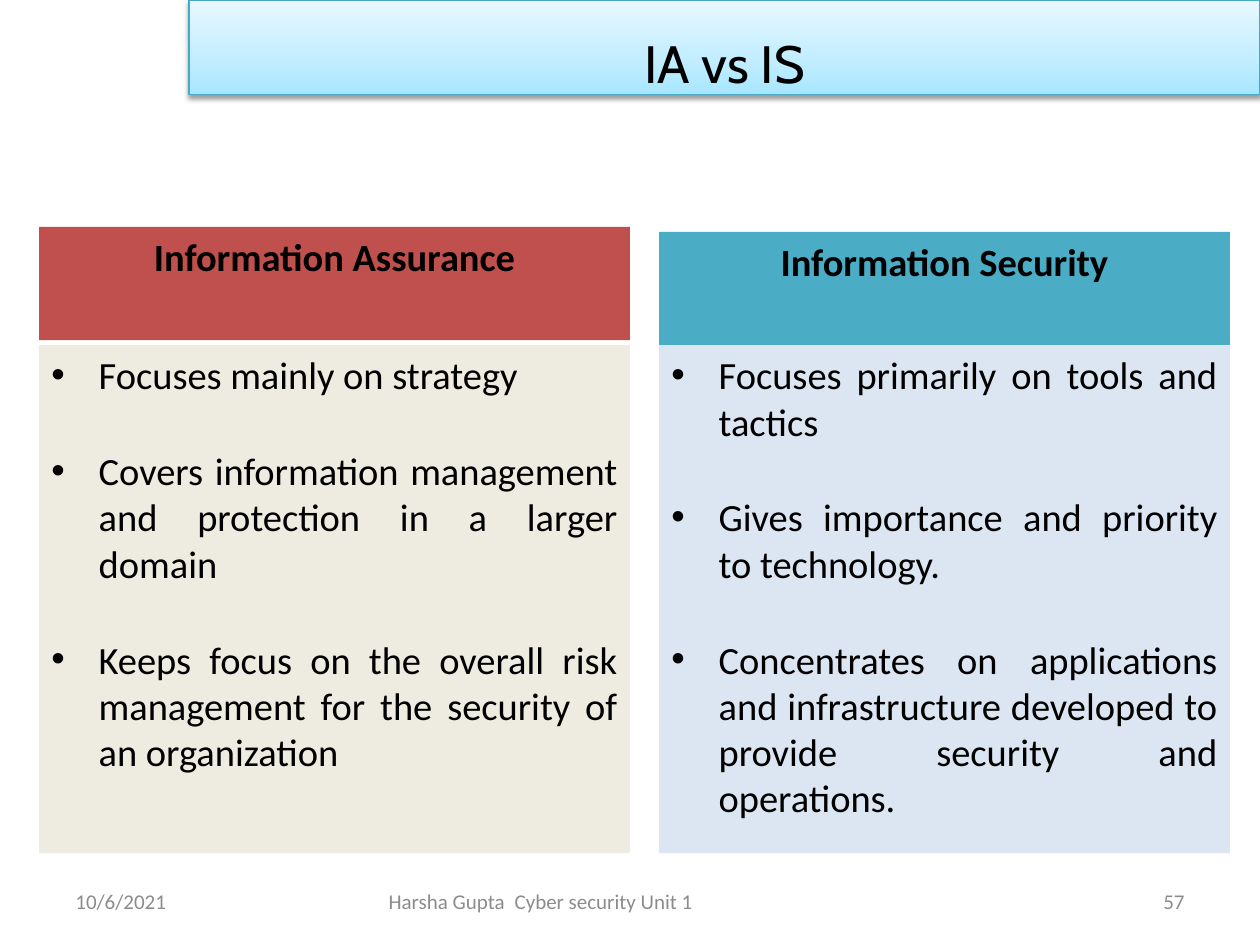
from copy import deepcopy
from lxml import etree
from pptx import Presentation
from pptx.dml.color import RGBColor
from pptx.enum.shapes import MSO_SHAPE
from pptx.enum.text import MSO_ANCHOR, PP_ALIGN
from pptx.oxml.ns import qn
from pptx.util import Pt

RECT = MSO_SHAPE.RECTANGLE
TOP, MID = MSO_ANCHOR.TOP, MSO_ANCHOR.MIDDLE
LEFT, CENTER, RIGHT, FULL = (
    PP_ALIGN.LEFT, PP_ALIGN.CENTER, PP_ALIGN.RIGHT, PP_ALIGN.JUSTIFY)

COLORS = {
    "black": "000000", "gray": "8C8C8C", "edge": "46AAC5",
    "red": "C0504D", "cream": "EEECE1", "teal": "4BACC6", "pale": "DCE6F2",
}
BLEND = [(0, "A7E6FF"), (0.35, "C1EDFF"), (1, "E7F8FF")]

TITLE = "IA vs IS"
PANELS = [
    {"head": "Information Assurance", "left": 22.3, "width": 337.7, "top": 129.6,
     "fills": ("red", "cream"),
     "items": [
         "Focuses mainly on strategy",
         "Covers information management and protection in a larger domain",
         "Keeps focus on the overall risk management for the security of an organization",
     ]},
    {"head": "Information Security", "left": 376.6, "width": 326.2, "top": 132.5,
     "fills": ("teal", "pale"),
     "items": [
         "Focuses primarily on tools and tactics",
         "Gives importance and priority to technology.",
         "Concentrates on applications and infrastructure developed to provide security and operations.",
     ]},
]
FOOTER = [
    ("10/6/2021", 36, 168, LEFT, 0, ()),
    ("Harsha Gupta\tCyber security\tUnit 1", 198, 396, LEFT, 17, (175, 333.5)),
    ("57", 516, 168, RIGHT, 0, ()),
]
HEAD_H, BODY_TOP, BODY_H = 64.8, 197.3, 290.2
FOOT_TOP, FOOT_H = 500.4, 28.8


def rgb(name):
    return RGBColor.from_string(COLORS[name])


def write(shape, *lines, size=22, font="Calibri", color="black", bold=False,
          align=CENTER, anchor=TOP, space=None, before=0, after=0,
          indent=0, bullet=None, tabs=()):
    frame = shape.text_frame
    frame.word_wrap = True
    frame.vertical_anchor = anchor
    for i, line in enumerate(lines):
        para = frame.add_paragraph() if i else frame.paragraphs[0]
        para.text = line
        para.alignment = align
        para.line_spacing = space
        para.space_before = Pt(before if i else 0)
        para.space_after = Pt(after)
        props = para._p.get_or_add_pPr()
        if indent:
            props.set("marL", str(Pt(indent)))
            props.set("indent", str(-Pt(indent) if bullet else 0))
        if bullet:
            etree.SubElement(props, qn("a:buFont"), typeface="Arial")
            etree.SubElement(props, qn("a:buChar"), char=bullet)
        if tabs:
            stops = etree.SubElement(props, qn("a:tabLst"))
            for pos in tabs:
                etree.SubElement(stops, qn("a:tab"), pos=str(Pt(pos)), algn="l")
        for run in para.runs:
            run.font.size = Pt(size)
            run.font.name = font
            run.font.bold = bold
            run.font.color.rgb = rgb(color)


def block(slide, left, top, width, height, fill=None):
    shape = slide.shapes.add_shape(RECT, Pt(left), Pt(top), Pt(width), Pt(height))
    shape.shadow.inherit = False
    if fill:
        shape.fill.solid()
        shape.fill.fore_color.rgb = rgb(fill)
    shape.line.fill.background()
    return shape


def banner(slide):
    shape = block(slide, 108, 0, 612, 54)
    shape.line.color.rgb = rgb("edge")
    shape.line.width = Pt(0.75)
    fill = shape.fill
    fill.gradient()
    fill.gradient_angle = 90
    props = shape._element.spPr
    stops = props.find(".//" + qn("a:gsLst"))
    stops.append(deepcopy(stops[0]))
    for stop, (pos, color) in zip(fill.gradient_stops, BLEND):
        stop.position = pos
        stop.color.rgb = RGBColor.from_string(color)
    shade = etree.SubElement(
        props.find(qn("a:effectLst")), qn("a:outerShdw"), blurRad=str(Pt(3.1)),
        dist=str(Pt(1.6)), dir="5400000", rotWithShape="0")
    tone = etree.SubElement(shade, qn("a:srgbClr"), val=COLORS["black"])
    etree.SubElement(tone, qn("a:alpha"), val="38000")
    write(shape, TITLE, size=30, font="Cabin", anchor=MID, space=1.5)


def main():
    deck = Presentation()
    deck.slide_width, deck.slide_height = Pt(720), Pt(540)
    slide = deck.slides.add_slide(deck.slide_layouts[6])
    for text, left, width, align, indent, tabs in FOOTER:
        box = slide.shapes.add_textbox(Pt(left), Pt(FOOT_TOP), Pt(width), Pt(FOOT_H))
        write(box, text, size=12, color="gray", align=align, anchor=MID,
              indent=indent, tabs=tabs)
    banner(slide)
    for panel in PANELS:
        left, width = panel["left"], panel["width"]
        dark, light = panel["fills"]
        head = block(slide, left, panel["top"], width, HEAD_H, dark)
        write(head, panel["head"], bold=True)
        body = block(slide, left, BODY_TOP, width, BODY_H, light)
        write(body, *panel["items"], align=FULL, before=4.4, after=24,
              indent=27, bullet="•")
    deck.save("out.pptx")


if __name__ == "__main__":
    main()
